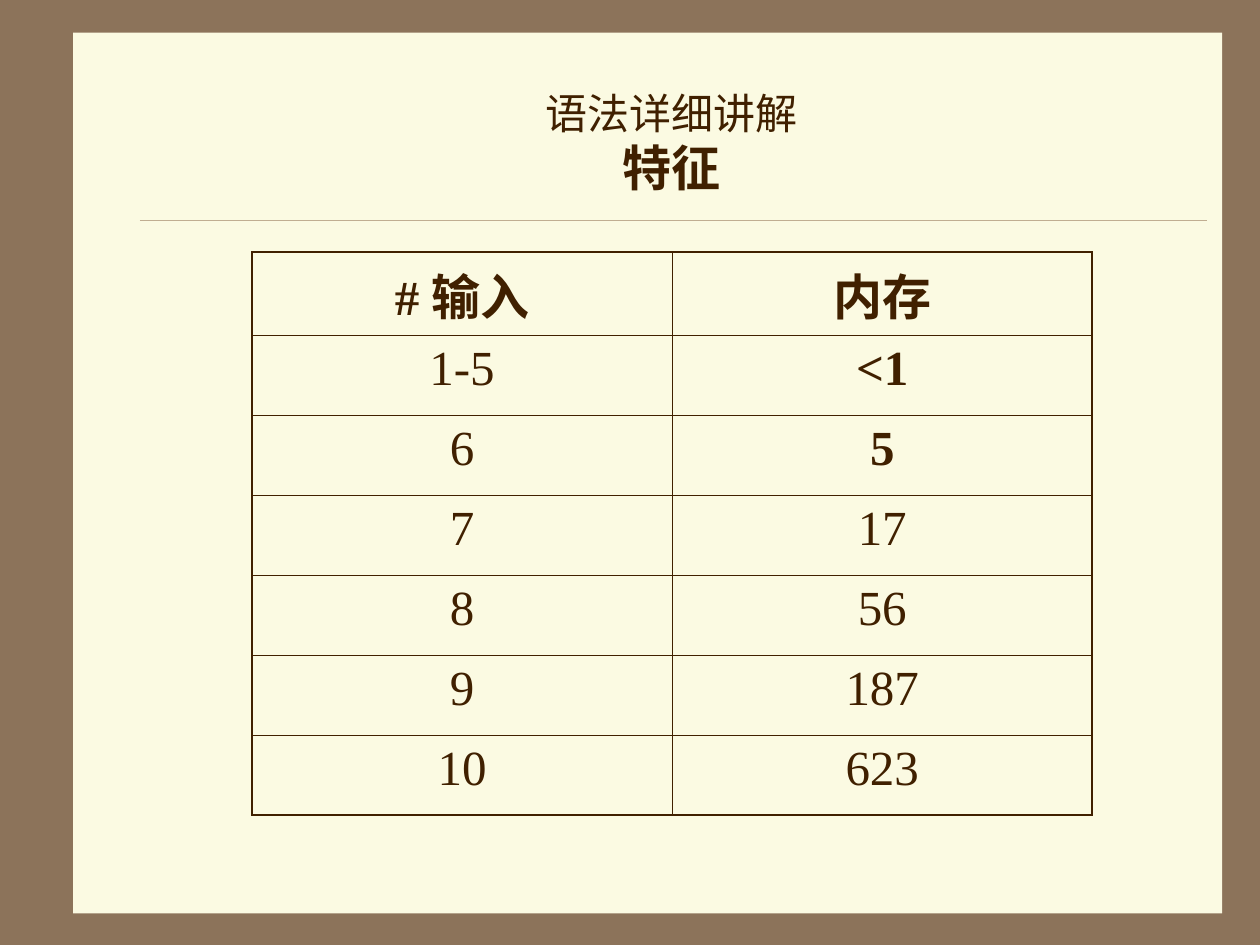
from dataclasses import dataclass

from lxml.etree import SubElement
from pptx import Presentation
from pptx.dml.color import RGBColor
from pptx.enum.shapes import MSO_CONNECTOR as Connector, MSO_SHAPE as Shape
from pptx.enum.text import MSO_ANCHOR as Anchor, PP_ALIGN as Align
from pptx.oxml.ns import qn
from pptx.util import Inches, Pt

BROWN, CREAM, INK, RULE = "8C735A", "FBFAE2", "402000", "A08366"
HAN_FONT, LATIN_FONT = "Noto Sans CJK SC", "Times New Roman"
THICK, THIN = 1.08, 0.45


@dataclass
class MemoryRow:
    inputs: str
    memory: str
    inputs_bold: bool = False
    memory_bold: bool = False


ROWS = [
    MemoryRow("# 输入", "内存", True, True),
    MemoryRow("1-5", "<1", memory_bold=True),
    MemoryRow("6", "5", memory_bold=True),
    MemoryRow("7", "17"),
    MemoryRow("8", "56"),
    MemoryRow("9", "187"),
    MemoryRow("10", "623"),
]


def color(value: str) -> RGBColor:
    return RGBColor.from_string(value)


def add_span(para, text: str, size: float, font: str, bold: bool = False) -> None:
    span = para.add_run()
    span.text = text
    span.font.size = Pt(size)
    span.font.name = font
    span.font.bold = bold
    span.font.color.rgb = color(INK)
    SubElement(span.font._element, qn("a:ea"), typeface=HAN_FONT)


def add_panel(page, left: float, top: float, width: float, height: float):
    panel = page.shapes.add_shape(
        Shape.RECTANGLE, Inches(left), Inches(top), Inches(width), Inches(height))
    panel.shadow.inherit = False
    panel.fill.solid()
    panel.fill.fore_color.rgb = color(CREAM)
    panel.line.fill.background()
    return panel


def add_rule(page, left: float, right: float, y: float) -> None:
    rule = page.shapes.add_connector(
        Connector.STRAIGHT, Inches(left), Inches(y), Inches(right), Inches(y))
    rule.line.color.rgb = color(RULE)
    rule.line.width = Pt(0.25)
    SubElement(rule._element.spPr, qn("a:effectLst"))


def add_title(page) -> None:
    box = add_panel(page, 1.08, 0.5, 8.5, 1.25)
    frame = box.text_frame
    frame.word_wrap = True
    frame.vertical_anchor = Anchor.MIDDLE
    para = frame.paragraphs[0]
    para.alignment = Align.CENTER
    add_span(para, "语法详细讲解", 24, HAN_FONT)
    para.add_line_break()
    add_span(para, "特征", 28, HAN_FONT, True)


def set_border(cell, side: str, width: float) -> None:
    border = SubElement(cell._tc.get_or_add_tcPr(), qn(f"a:{side}"), w=str(Pt(width)))
    fill = SubElement(border, qn("a:solidFill"))
    SubElement(fill, qn("a:srgbClr"), val=INK)


def fill_cell(cell, text: str, bold: bool, outer: dict[str, bool]) -> None:
    for side, is_outer in outer.items():
        set_border(cell, side, THICK if is_outer else THIN)
    cell.fill.background()
    para = cell.text_frame.paragraphs[0]
    para.alignment = Align.CENTER
    add_span(para, text, 28, LATIN_FONT, bold)


def add_memory_table(page) -> None:
    width, height = 6.67, 4.44
    table = page.shapes.add_table(
        len(ROWS), 2, Inches(2), Inches(2), Inches(width), Inches(height)).table
    table.first_row = table.horz_banding = False
    for column in table.columns:
        column.width = Inches(width / 2)
    for index, row in enumerate(ROWS):
        table.rows[index].height = Inches(height / len(ROWS))
        entries = [(row.inputs, row.inputs_bold), (row.memory, row.memory_bold)]
        for side, (text, bold) in enumerate(entries):
            outer = {"lnL": side == 0, "lnR": side == 1,
                     "lnT": index == 0, "lnB": index == len(ROWS) - 1}
            fill_cell(table.cell(index, side), text, bold, outer)


def main() -> None:
    deck = Presentation()
    deck.slide_width, deck.slide_height = Inches(10), Inches(7.5)
    page = deck.slides.add_slide(deck.slide_layouts[6])
    page.background.fill.solid()
    page.background.fill.fore_color.rgb = color(BROWN)
    add_panel(page, 0.58, 0.26, 9.12, 6.99)
    add_rule(page, 1.11, 9.58, 1.75)
    add_title(page)
    add_memory_table(page)
    deck.save("out.pptx")


if __name__ == "__main__":
    main()
